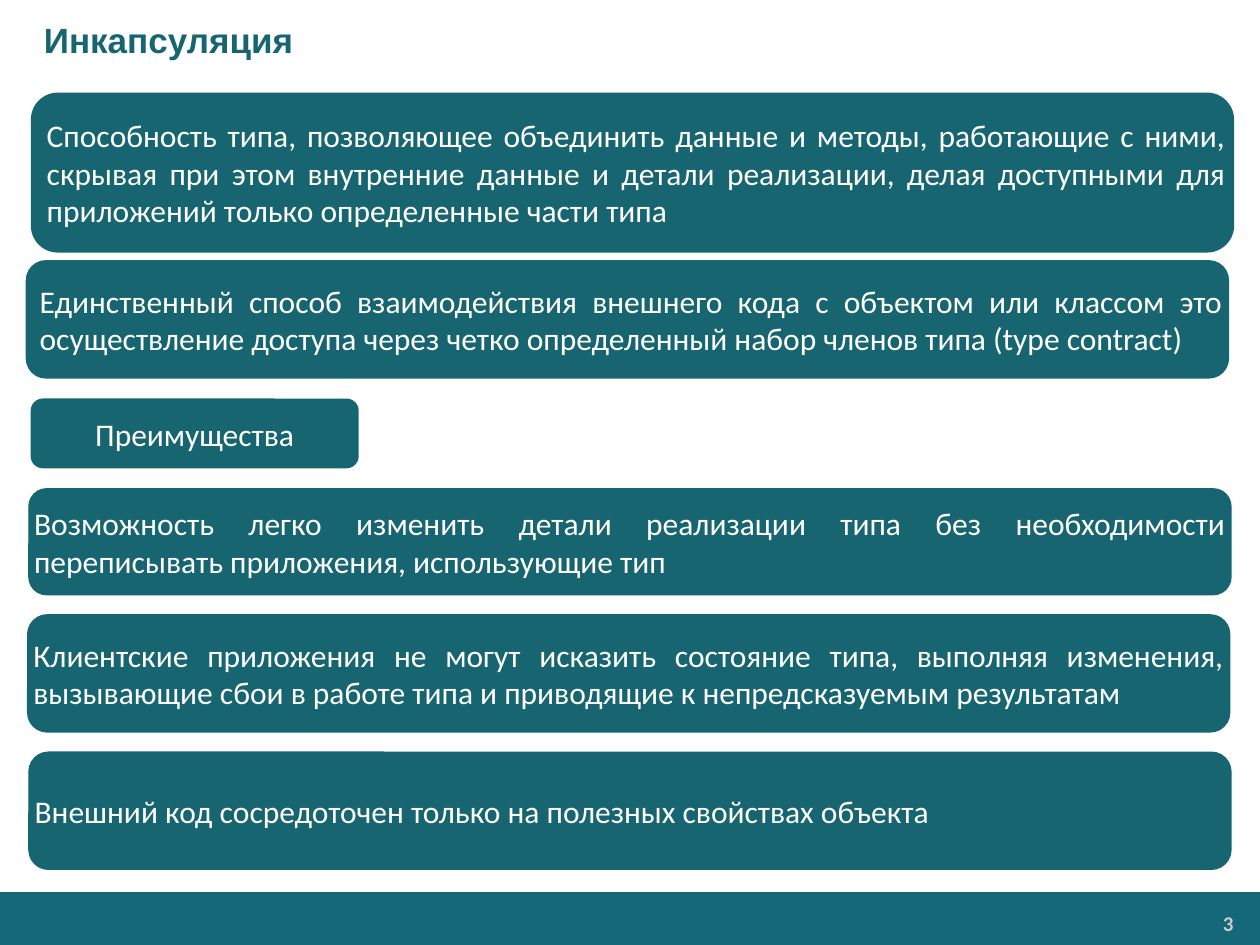
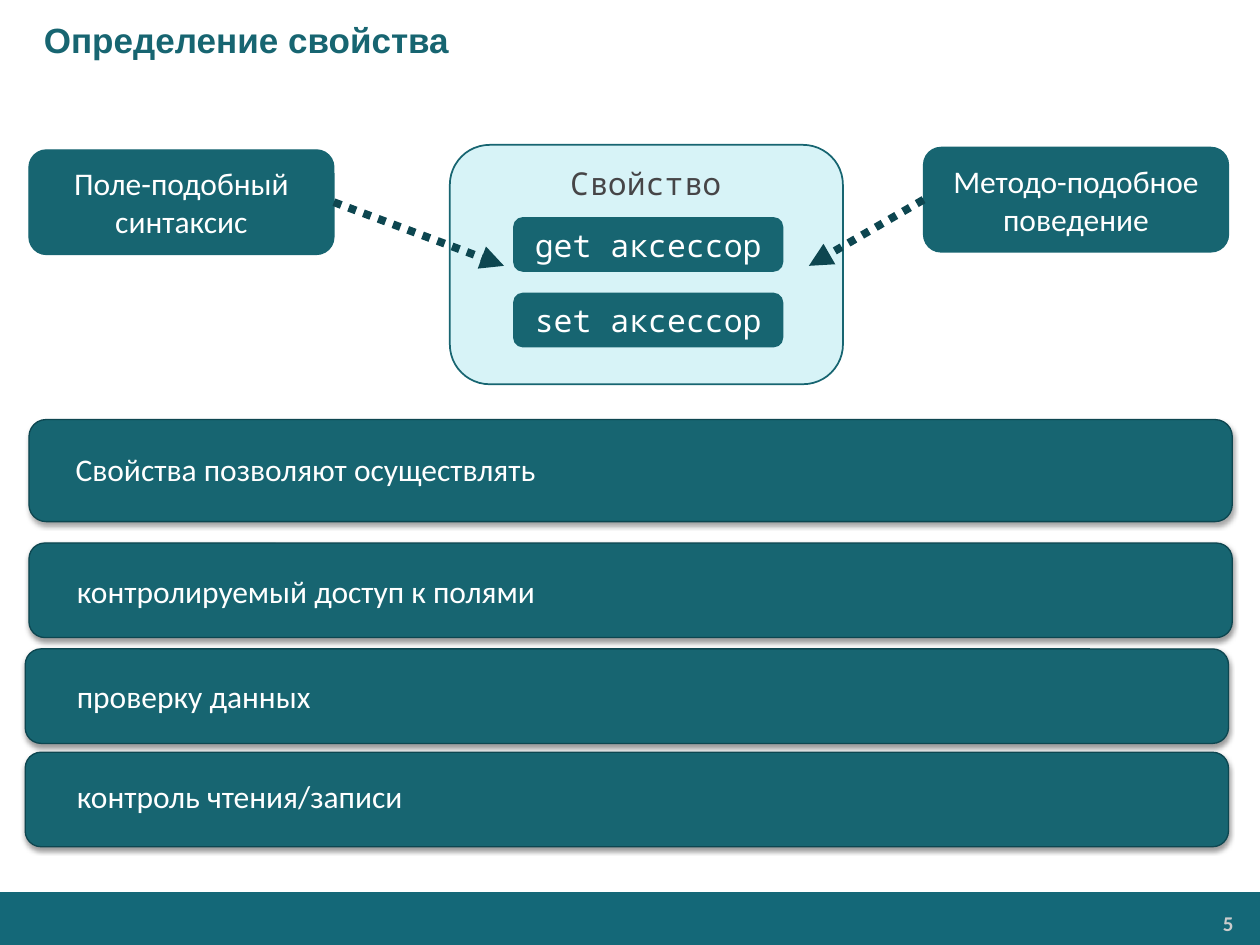
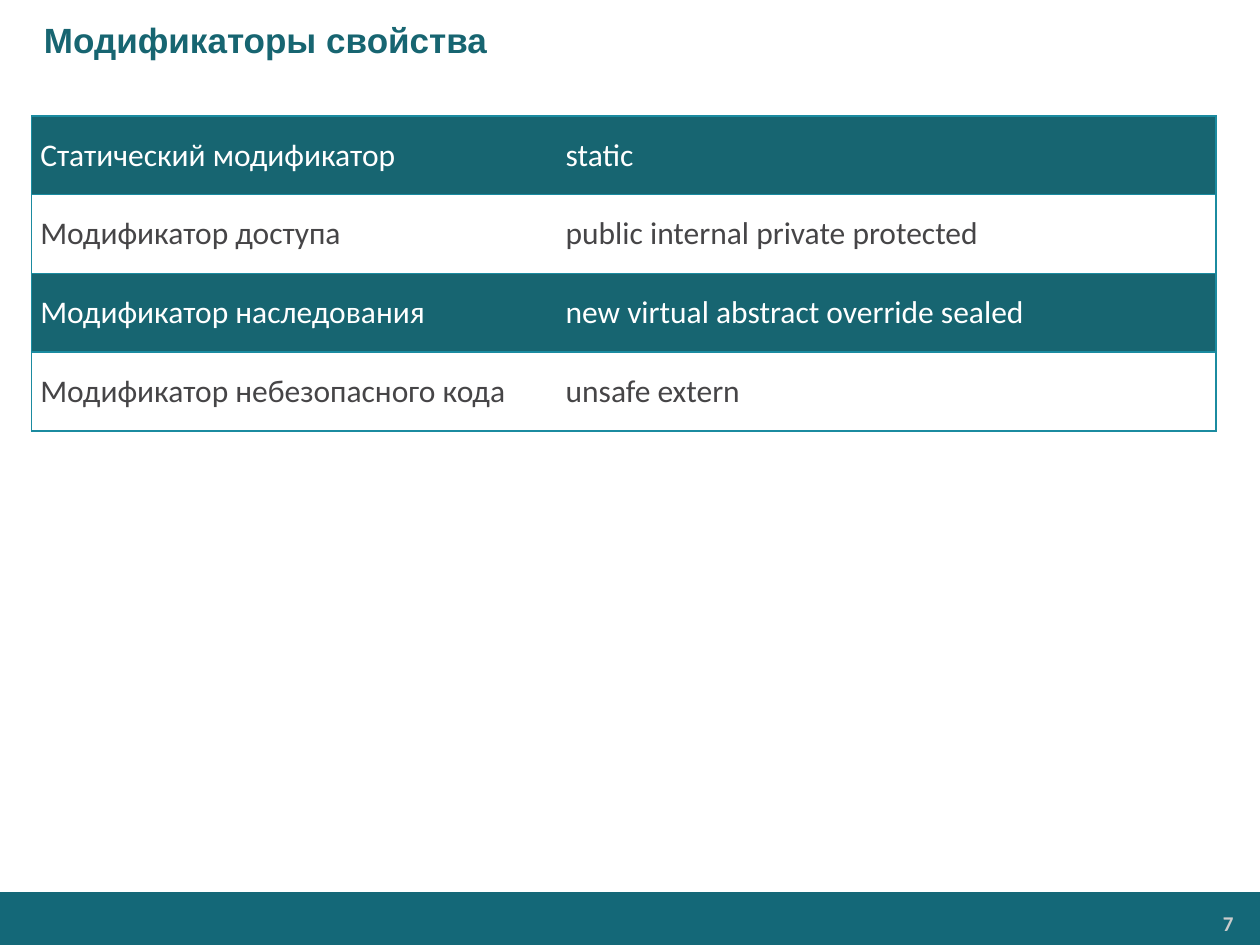
from lxml import etree
from pptx import Presentation
from pptx.dml.color import RGBColor
from pptx.enum import dml, shapes, text
from pptx.oxml import ns
from pptx.util import Inches, Pt

TEAL = RGBColor(0x17, 0x65, 0x71)
BAND_TEAL = RGBColor(0x14, 0x68, 0x78)
DARK_TEAL = RGBColor(0x0D, 0x46, 0x50)
BORDER_TEAL = RGBColor(0x1B, 0x8B, 0xA0)
PALE_TEAL = RGBColor(0xD7, 0xF3, 0xF7)
WHITE = RGBColor(0xFF, 0xFF, 0xFF)
GREY = RGBColor(0xCC, 0xCC, 0xCC)
DARK_GREY = RGBColor(0x46, 0x45, 0x47)
HEADING_FONT, BODY_FONT, CODE_FONT = "Arial", "Calibri", "Noto Sans Mono"
LEFT, CENTER = text.PP_ALIGN.LEFT, text.PP_ALIGN.CENTER
RIGHT, JUSTIFY = text.PP_ALIGN.RIGHT, text.PP_ALIGN.JUSTIFY
TOP, MIDDLE = text.MSO_ANCHOR.TOP, text.MSO_ANCHOR.MIDDLE


def inches(box):
    """Convert a box of plain numbers to lengths."""
    return [Inches(value) for value in box]


def add_xml(parent, tag, **attributes):
    """Append a DrawingML element and return it."""
    return etree.SubElement(parent, ns.qn(tag), attributes)


def style_font(paragraph, color, size=18, name=BODY_FONT, bold=False):
    """Set the font of a whole paragraph."""
    font = paragraph.font
    font.name, font.size, font.bold = name, Pt(size), bold
    font.color.rgb = color


def write_text(shape, words, color=WHITE, align=LEFT, anchor=MIDDLE,
               insets=(0, 0), indent=0, **font):
    """Write one paragraph into a shape."""
    frame = shape.text_frame
    frame.word_wrap = True
    frame.vertical_anchor = anchor
    frame.margin_left = frame.margin_right = Inches(insets[0])
    frame.margin_top = frame.margin_bottom = Inches(insets[1])
    paragraph = frame.paragraphs[0]
    paragraph.text = words
    paragraph.alignment = align
    if indent:
        properties = paragraph._p.get_or_add_pPr()
        properties.set("marL", str(Inches(indent)))
        properties.set("indent", "0")
    style_font(paragraph, color, **font)


def add_label(slide, box, words, **style):
    """Add a text box."""
    write_text(slide.shapes.add_textbox(*inches(box)), words, **style)


def add_panel(slide, box, fill=TEAL, outline=TEAL, width=0.75,
              kind=shapes.MSO_SHAPE.ROUNDED_RECTANGLE):
    """Add a filled, outlined shape without a shadow."""
    panel = slide.shapes.add_shape(kind, *inches(box))
    panel.shadow.inherit = False
    panel.fill.solid()
    panel.fill.fore_color.rgb = fill
    panel.line.color.rgb = outline
    panel.line.width = Pt(width)
    return panel


def add_text_panel(slide, box, words, width=0.75, align=CENTER, **style):
    """Add a teal panel with white text."""
    panel = add_panel(slide, box, width=width)
    write_text(panel, words, align=align, **style)
    return panel


def add_shadow(shape, distance, opacity):
    """Give a shape a soft shadow that falls straight down."""
    effects = shape._element.spPr.find(ns.qn("a:effectLst"))
    shadow = add_xml(effects, "a:outerShdw", blurRad=str(Pt(3)), dist=str(Pt(distance)),
                     dir="5400000", rotWithShape="0")
    color = add_xml(shadow, "a:srgbClr", val="000000")
    add_xml(color, "a:alpha", val=str(opacity * 1000))


def add_dotted_arrow(slide, source, site, end):
    """Draw a dotted arrow from a side of a shape to a point."""
    arrow = slide.shapes.add_connector(shapes.MSO_CONNECTOR.STRAIGHT, 0, 0, *inches(end))
    arrow.begin_connect(source, site)
    arrow.line.color.rgb = DARK_TEAL
    arrow.line.width = Pt(4.5)
    arrow.line.dash_style = dml.MSO_LINE.ROUND_DOT
    add_xml(arrow.line._get_or_add_ln(), "a:tailEnd", type="triangle")
    add_xml(arrow._element.spPr, "a:effectLst")


def add_base_slide(presentation, title, number):
    """Add a slide with its title, footer band and number."""
    slide = presentation.slides.add_slide(presentation.slide_layouts[6])
    band = add_panel(slide, (0, 7.08, 10.01, 0.43), BAND_TEAL,
                     kind=shapes.MSO_SHAPE.RECTANGLE)
    band.line.fill.background()
    add_label(slide, (8.23, 7.19, 1.63, 0.28), str(number), color=GREY, align=RIGHT,
              anchor=TOP, insets=(0.07, 0.04), size=12, bold=True)
    add_label(slide, (0, 0, 10, 0.63), title, color=TEAL, insets=(0.1, 0.05),
              indent=0.25, size=20, name=HEADING_FONT, bold=True)
    return slide


def build_encapsulation(presentation):
    """Build the slide that defines encapsulation."""
    slide = add_base_slide(presentation, "Инкапсуляция", 3)
    statements = [
        (0.25, 0.74, 1.26, 0.06, "Способность типа, позволяющее объединить данные и методы, "
         "работающие с ними, скрывая при этом внутренние данные и детали реализации, "
         "делая доступными для приложений только определенные части типа"),
        (0.21, 2.07, 0.93, 0.06, "Единственный способ взаимодействия внешнего кода с объектом "
         "или классом это осуществление доступа через четко определенный набор "
         "членов типа (type contract)"),
        (0.23, 3.88, 0.84, 0, "Возможность легко изменить детали реализации типа без "
         "необходимости переписывать приложения, использующие тип"),
        (0.22, 4.88, 0.93, 0, "Клиентские приложения не могут исказить состояние типа, "
         "выполняя изменения, вызывающие сбои в работе типа и приводящие к "
         "непредсказуемым результатам"),
        (0.23, 5.97, 0.93, 0, "Внешний код сосредоточен только на полезных свойствах объекта"),
    ]
    for left, top, height, indent, words in statements:
        add_text_panel(slide, (left, top, 9.54, height), words, align=JUSTIFY, indent=indent)
    add_text_panel(slide, (0.25, 3.17, 2.59, 0.54), "Преимущества", width=1)


def add_property_diagram(slide, left, top):
    """Draw the property with its accessors and two aspects."""
    add_panel(slide, (left, top, 3.12, 1.9), PALE_TEAL, width=1)
    add_label(slide, (left + 0.43, top + 0.1, 2.25, 0.71), "Свойство", color=DARK_GREY,
              align=CENTER, anchor=TOP, insets=(0.05, 0.05), name=CODE_FONT)
    for index, accessor in enumerate(("get", "set")):
        add_text_panel(slide, (left + 0.51, top + 0.58 + 0.6 * index, 2.13, 0.42),
                       f"{accessor} аксессор", width=1, name=CODE_FONT)
    syntax = add_text_panel(slide, (left - 3.34, top + 0.04, 2.42, 0.83),
                            "Поле-подобный синтаксис")
    behaviour = add_text_panel(slide, (left + 3.76, top + 0.02, 2.42, 0.83),
                               "Методо-подобное поведение")
    add_dotted_arrow(slide, syntax, 3, (left + 0.43, top + 0.96))
    add_dotted_arrow(slide, behaviour, 1, (left + 2.85, top + 0.96))


def add_shadowed_bar(slide, left, top, height, text_box, words, shadow, align):
    """Add a wide shadowed bar with its caption."""
    bar = add_panel(slide, (left, top, 9.55, height), outline=DARK_TEAL)
    add_shadow(bar, *shadow)
    text_left, text_top = text_box
    add_label(slide, (text_left, top + text_top, 5.43, 0.3), words, align=align)


def build_property_definition(presentation):
    """Build the slide that defines a property."""
    slide = add_base_slide(presentation, "Определение свойства", 5)
    add_property_diagram(slide, 3.57, 1.15)
    add_shadowed_bar(slide, 0.23, 3.33, 0.81, (0.6, 0.24),
                     "Свойства позволяют осуществлять", (1.8, 35), LEFT)
    abilities = [
        (0.23, 4.31, 0.23, "контролируемый доступ к полями"),
        (0.2, 5.15, 0.22, "проверку данных"),
        (0.2, 5.97, 0.2, "контроль чтения/записи"),
    ]
    for left, top, text_top, words in abilities:
        add_shadowed_bar(slide, left, top, 0.75, (0.61, text_top), words, (1.6, 38), JUSTIFY)


def set_borders(cell, visible):
    """Draw the named cell sides and hide the others."""
    properties = cell._tc.get_or_add_tcPr()
    for index, side in enumerate("LRTB"):
        line = etree.Element(ns.qn(f"a:ln{side}"), w=str(Pt(1)))
        if side in visible:
            fill = add_xml(line, "a:solidFill")
            add_xml(fill, "a:srgbClr", val=str(BORDER_TEAL))
        else:
            add_xml(line, "a:noFill")
        properties.insert(index, line)


def add_modifier_table(slide, box, rows, widths):
    """Add a table with alternating teal and white rows."""
    table = slide.shapes.add_table(len(rows), len(widths), *inches(box)).table
    table.first_row = table.horz_banding = False
    for column, width in zip(table.columns, widths):
        column.width = Inches(width)
    for row_index, row in enumerate(rows):
        fill, color = ((WHITE, DARK_GREY) if row_index % 2 else (TEAL, WHITE))
        for column_index, words in enumerate(row):
            cell = table.cell(row_index, column_index)
            cell.text = words
            cell.vertical_anchor = MIDDLE
            cell.margin_left = cell.margin_right = Inches(0.07)
            cell.margin_top = cell.margin_bottom = Inches(0.05)
            cell.fill.solid()
            cell.fill.fore_color.rgb = fill
            style_font(cell.text_frame.paragraphs[0], color)
            set_borders(cell, "RTB" if column_index else "LTB")


def build_modifiers(presentation):
    """Build the slide that lists property modifiers."""
    slide = add_base_slide(presentation, "Модификаторы свойства", 7)
    rows = [
        ("Статический модификатор", "static"),
        ("Модификатор доступа", "public internal private protected"),
        ("Модификатор наследования", "new virtual abstract override sealed"),
        ("Модификатор небезопасного кода", "unsafe extern"),
    ]
    add_modifier_table(slide, (0.25, 0.92, 9.4, 2.5), rows, (4.17, 5.23))


def main():
    """Build and save the presentation."""
    presentation = Presentation()
    presentation.slide_width = Inches(10)
    presentation.slide_height = Inches(7.5)
    build_encapsulation(presentation)
    build_property_definition(presentation)
    build_modifiers(presentation)
    presentation.save("out.pptx")


if __name__ == "__main__":
    main()
